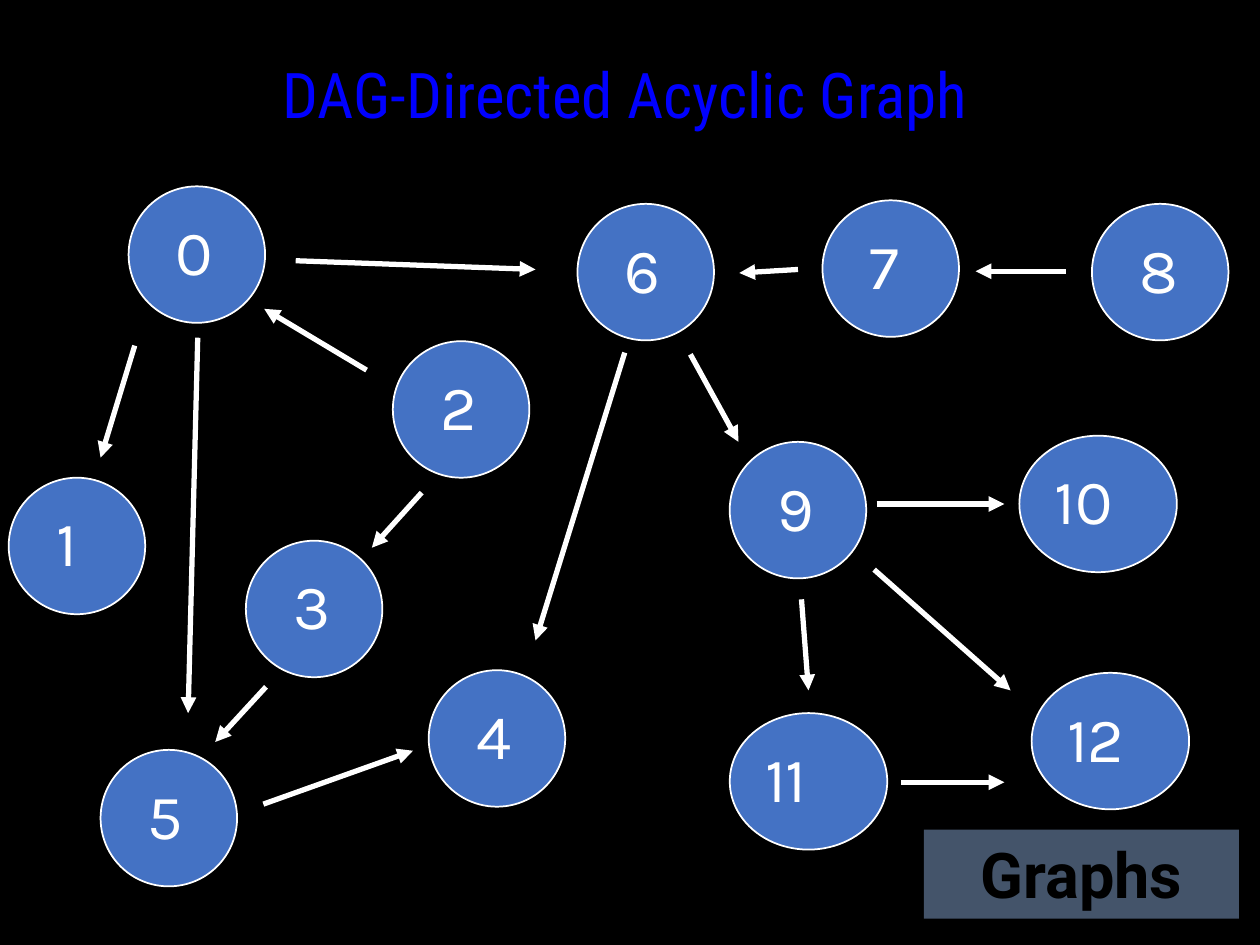
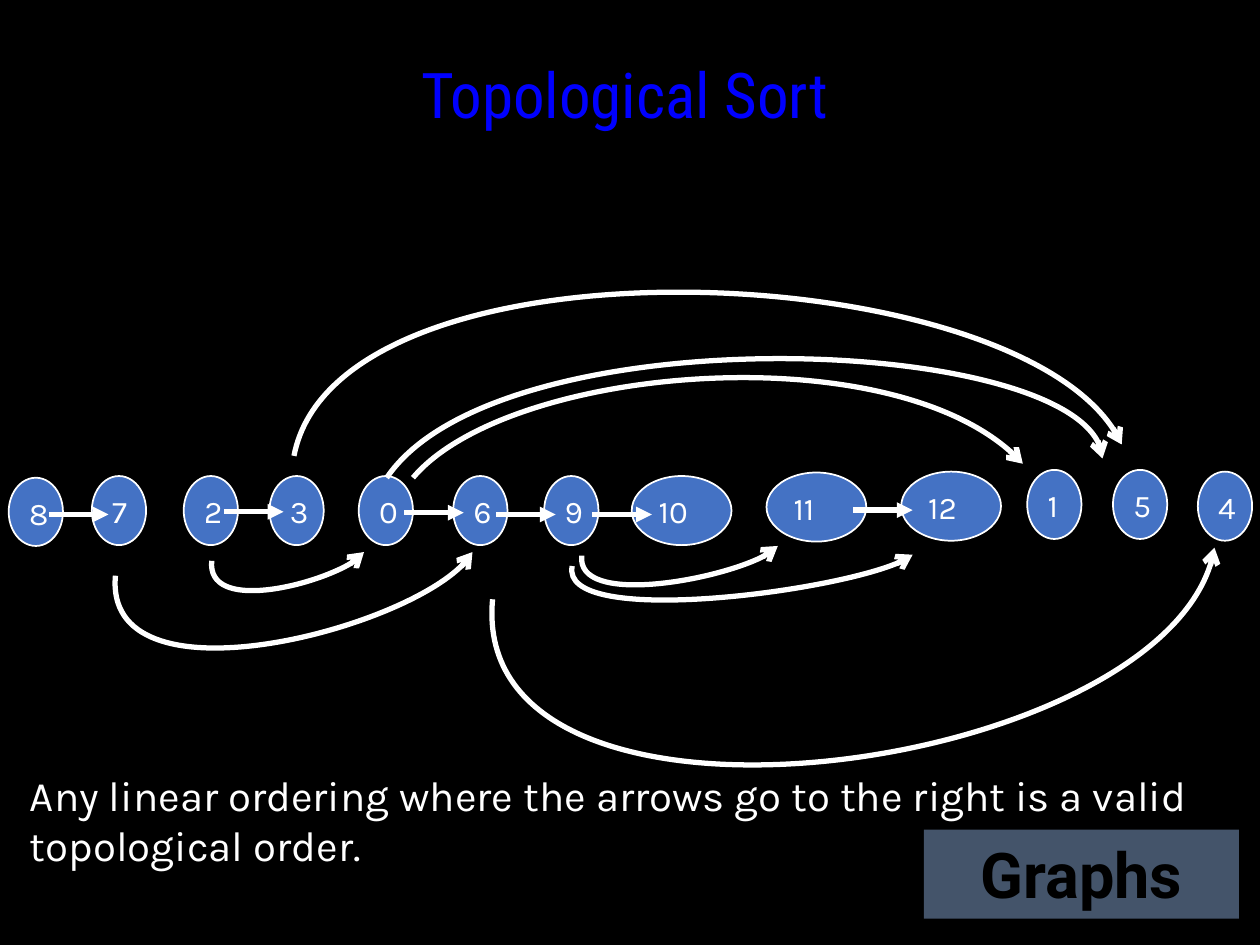
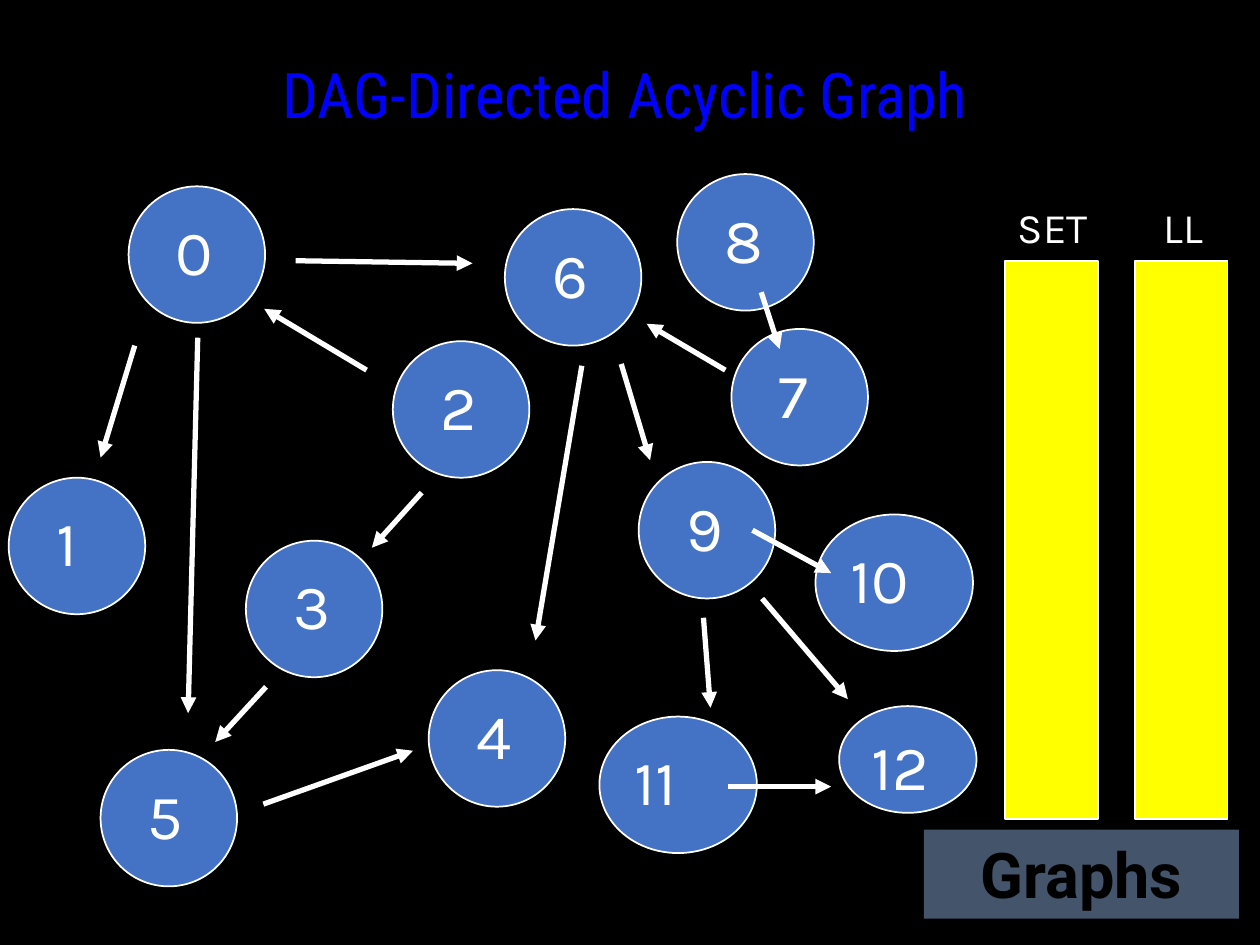
import pptx
import pptx.util
import pptx.dml.color
import pptx.enum.shapes
import pptx.enum.text
import pptx.oxml
import pptx.oxml.ns
import lxml.etree

Pt = pptx.util.Pt
tint = pptx.dml.color.RGBColor.from_string
qn = pptx.oxml.ns.qn
Kind = pptx.enum.shapes.MSO_SHAPE
Align = pptx.enum.text.PP_ALIGN
Anchor = pptx.enum.text.MSO_ANCHOR

BLACK, WHITE, BLUE = "000000", "FFFFFF", "4472C4"
SLATE, YELLOW, TITLE = "44546A", "FFFF00", "0000FF"


def write(shape, text, face, size, color, align=Align.LEFT, wrap=True):
    frame = shape.text_frame
    frame.word_wrap = wrap
    frame.vertical_anchor = Anchor.TOP
    para = frame.paragraphs[0]
    para.alignment = align
    run = para.add_run()
    run.text = text
    run.font.name = face
    run.font.size = Pt(size)
    run.font.color.rgb = tint(color)
    return run


def point(shape, head):
    """Draw a white line that ends in an arrowhead."""
    shape.line.color.rgb = tint(WHITE)
    shape.line.width = Pt(3)
    ln = shape.line._get_or_add_ln()
    lxml.etree.SubElement(ln, qn("a:tailEnd"), type=head)
    lxml.etree.SubElement(shape._element.spPr, qn("a:effectLst"))


# Nodes: label, left, top, width, height
SIZE = 78, 78
WIDE = 90, 78
SMALL = 31, 39.5
LONG = 57, 39.5

left_nodes = [
    (" 0", 73.5, 106.5, *SIZE), (" 1", 5, 273, *SIZE),
    (" 5", 57.5, 428.5, *SIZE), (" 4", 245, 383, *SIZE),
    (" 3", 140.5, 309, *SIZE), (" 2", 224.5, 195, *SIZE),
]
dag_nodes = left_nodes + [
    (" 6", 330, 116.5, *SIZE), (" 7", 470, 114.5, *SIZE),
    (" 8", 624, 116.5, *SIZE), (" 9", 417, 252.5, *SIZE),
    ("10", 582.5, 249, *WIDE), ("11", 417, 407.5, *WIDE),
    ("12", 589.5, 384.5, *WIDE),
]
sort_nodes = [
    ("8", 5, 273, 31, 39), ("7", 52.5, 272, *SMALL),
    ("2", 105, 272, *SMALL), ("3", 154, 272, *SMALL),
    ("0", 205, 272, *SMALL), ("6", 259, 272, *SMALL),
    ("9", 311, 272, *SMALL), ("10", 361, 272, *LONG),
    ("11", 438, 270, *LONG), ("12", 515, 269.5, *LONG),
    ("1", 587, 268.5, *SMALL), ("5", 636, 268.5, *SMALL),
    ("4", 684.5, 269.5, *SMALL),
]
set_nodes = left_nodes + [
    (" 6", 288.5, 119.5, *SIZE), (" 7", 418, 188, *SIZE),
    (" 8", 387, 99.5, *SIZE), (" 9", 365, 264, *SIZE),
    ("10", 466, 294, *WIDE), ("11", 342.5, 409.5, *WIDE),
    ("12", 479.5, 403.5, 78.5, 61),
]

# Arrows: from x, y to x, y
left_edges = [
    (77, 197.5, 57.5, 261.5), (113, 193, 107.5, 407.5),
    (209.5, 211.5, 151, 176.5), (241, 281.5, 212.5, 313),
    (152, 392.5, 123, 424), (150.5, 459.5, 236, 429),
]
dag_edges = left_edges + [
    (169, 149, 306, 154), (357, 201.5, 306, 366),
    (609, 155, 557.5, 155), (394.5, 202.5, 422, 252.5),
    (456, 154, 422.5, 156), (499.5, 325.5, 577.5, 394.5),
    (501, 288, 574, 288), (515, 447, 574, 447),
    (458, 342.5, 462, 394.5),
]
starts = [(28, 294), (128, 292.5), (231, 293),
          (283.5, 294), (338.5, 294), (487.5, 291.5)]
sort_edges = [(x, y, x + 34, y) for x, y in starts]
set_edges = left_edges + [
    (169, 149, 270, 150.5), (332.5, 209, 306, 366),
    (435, 167, 445.5, 199.5), (355, 208, 371.5, 263),
    (414.5, 211.5, 369.5, 185), (435.5, 342, 484.5, 399.5),
    (430, 303, 475, 327.5), (416, 449.5, 475, 449.5),
    (402, 353, 406, 404.5),
]

# Title, nodes, label size, arrows
pages = [
    ("DAG-Directed Acyclic Graph", dag_nodes, 36, dag_edges),
    ("Topological Sort", sort_nodes, 18, sort_edges),
    ("DAG-Directed Acyclic Graph", set_nodes, 36, set_edges),
]

deck = pptx.Presentation()
deck.slide_width, deck.slide_height = Pt(720), Pt(540)
ground = deck.slide_master.background.fill
ground.solid()
ground.fore_color.rgb = tint(BLACK)

for title, nodes, size, edges in pages:
    slide = deck.slides.add_slide(deck.slide_layouts[6])

    # Footer band
    band = slide.shapes.add_shape(Kind.RECTANGLE, Pt(528), Pt(474), Pt(180), Pt(51))
    band.shadow.inherit = False
    band.fill.solid()
    band.fill.fore_color.rgb = tint(SLATE)
    band.line.fill.background()
    run = write(band, "Graphs", "Roboto", 36, BLACK, Align.CENTER)
    run.font.bold = True

    # Title with a thin yellow edge
    box = slide.shapes.add_textbox(Pt(24), Pt(28), Pt(666), Pt(66))
    run = write(box, title, "Roboto Condensed", 36, TITLE, Align.CENTER, False)
    edge = lxml.etree.Element(qn("a:ln"), w=str(Pt(0.75)))
    fill = lxml.etree.SubElement(edge, qn("a:solidFill"))
    lxml.etree.SubElement(fill, qn("a:srgbClr"), val=YELLOW)
    run._r.get_or_add_rPr().insert(0, edge)

    # Graph
    for label, x, y, w, h in nodes:
        node = slide.shapes.add_shape(Kind.OVAL, Pt(x), Pt(y), Pt(w), Pt(h))
        node.shadow.inherit = False
        node.fill.solid()
        node.fill.fore_color.rgb = tint(BLUE)
        node.line.color.rgb = tint(WHITE)
        node.line.width = Pt(1)
        write(node, label, "Karla", size, WHITE)
    for ends in edges:
        arrow = slide.shapes.add_connector(
            pptx.enum.shapes.MSO_CONNECTOR.STRAIGHT, *map(Pt, ends))
        point(arrow, "triangle")

# Topological sort: long arcs, each a cubic through four control points
slide = deck.slides[1]
arcs = [
    ((168, 260.5), (193, 130.5), (592.5, 146), (641, 254)),
    ((236, 273), (289.5, 209.5), (516, 189.5), (584.5, 265)),
    ((221, 273), (283.5, 180.5), (626.5, 191), (630, 262)),
    ((327, 323.5), (319.5, 358.5), (499.5, 336), (521.5, 317)),
    ((66, 329), (59, 404), (247, 357), (270, 315.5)),
    ((332.5, 317.5), (329, 346.5), (431.5, 328.5), (444.5, 312)),
    ((281.5, 342.5), (267, 496), (673, 442), (694, 313)),
    ((121, 320.5), (118, 350), (198.5, 331), (208, 315.5)),
]
STEPS = 32
for arc in arcs:
    # Points along the curve give the frame its true size
    dots = []
    for step in range(STEPS + 1):
        t = step / STEPS
        parts = (1 - t) ** 3, 3 * t * (1 - t) ** 2, 3 * t * t * (1 - t), t ** 3
        dots.append([Pt(sum(p * c for p, c in zip(parts, axis)))
                     for axis in zip(*arc)])
    pen = slide.shapes.build_freeform(*dots[0])
    pen.add_line_segments(dots[1:], close=False)
    curve = pen.convert_to_shape()

    # One cubic takes the place of the straight pieces
    lines = list(curve._element.iter(qn("a:lnTo")))
    route = lines[0].getparent()
    for line in lines:
        route.remove(line)
    bend = lxml.etree.SubElement(route, qn("a:cubicBezTo"))
    for x, y in arc[1:]:
        lxml.etree.SubElement(bend, qn("a:pt"), x=str(Pt(x) - curve.left),
                              y=str(Pt(y) - curve.top))
    curve.fill.background()
    point(curve, "arrow")

note = slide.shapes.add_textbox(Pt(10), Pt(436), Pt(702), Pt(65.5))
write(note, "Any linear ordering where the arrows go to the right is a valid "
      "topological order.", "Karla", 24, WHITE)

# Set and list columns
slide = deck.slides[2]
for x in (574.5, 648.5):
    bar = slide.shapes.add_shape(Kind.RECTANGLE, Pt(x), Pt(149), Pt(53), Pt(319))
    bar.shadow.inherit = False
    bar.fill.solid()
    bar.fill.fore_color.rgb = tint(YELLOW)
    bar.line.color.rgb = tint(WHITE)
    bar.line.width = Pt(1)
for name, x, w, wrap in (("SET", 574.5, 77, True), ("LL", 658, 42.5, False)):
    head = slide.shapes.add_textbox(Pt(x), Pt(111.5), Pt(w), Pt(36.5))
    write(head, name, "Karla", 24, WHITE, wrap=wrap)

deck.save("out.pptx")
